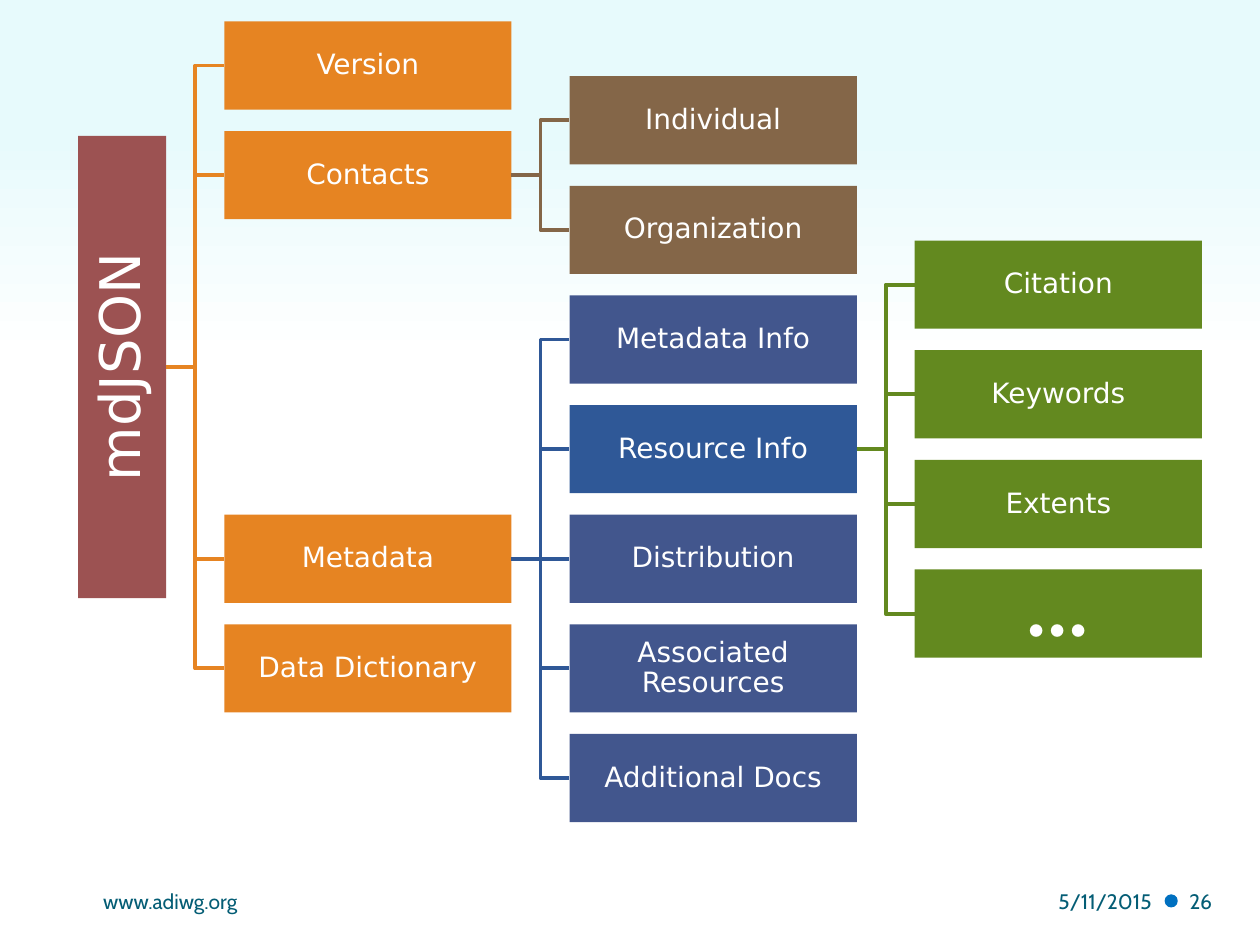
from collections import namedtuple

from lxml.etree import SubElement
from pptx import Presentation
from pptx.dml.color import RGBColor
from pptx.enum.shapes import MSO_CONNECTOR, MSO_SHAPE
from pptx.enum.text import MSO_ANCHOR, PP_ALIGN
from pptx.oxml.ns import qn
from pptx.util import Inches, Pt

Box = namedtuple("Box", "left top width height")
Node = namedtuple("Node", "label column row color")

# Grid of the tree: columns and rows repeat at an equal step
SLIDE_WIDTH, SLIDE_HEIGHT = 10, 7.5
GRID_LEFT, GRID_TOP = 1.78, 0.17
COLUMN_STEP, ROW_STEP = 2.74, 0.87
BOX_WIDTH, BOX_HEIGHT = 2.28, 0.7
GAP = COLUMN_STEP - BOX_WIDTH
ROOT_LENGTH = 3.67

ORANGE, BROWN, GREEN = "E68422", "846648", "63891F"
INDIGO, BLUE, RED = "42568D", "2F5897", "9C5252"
WHITE, TEAL, DOT_BLUE = "FFFFFF", "045D75", "0070C0"

NODE_FONT = {"name": "DejaVu Sans", "size": Pt(16)}
ROOT_FONT = {"name": "DejaVu Sans", "size": Pt(32)}
MORE_FONT = {"name": "League Spartan", "size": Pt(40), "bold": True}
FOOTER_FONT = {"name": "Cabin", "size": Pt(12)}

NODES = [
    Node("Version", 0, 0, ORANGE),
    Node("Contacts", 0, 1, ORANGE),
    Node("Metadata", 0, 4.5, ORANGE),
    Node("Data Dictionary", 0, 5.5, ORANGE),
    Node("Individual", 1, 0.5, BROWN),
    Node("Organization", 1, 1.5, BROWN),
    Node("Metadata Info", 1, 2.5, INDIGO),
    Node("Resource Info", 1, 3.5, BLUE),
    Node("Distribution", 1, 4.5, INDIGO),
    Node("Associated Resources", 1, 5.5, INDIGO),
    Node("Additional Docs", 1, 6.5, INDIGO),
    Node("Citation", 2, 2, GREEN),
    Node("Keywords", 2, 3, GREEN),
    Node("Extents", 2, 4, GREEN),
    Node("...", 2, 5, GREEN),
]

# Parent: colour of its branches and its children
BRANCHES = {
    "mdJSON": (ORANGE, ["Version", "Contacts", "Metadata", "Data Dictionary"]),
    "Contacts": (BROWN, ["Individual", "Organization"]),
    "Metadata": (BLUE, ["Metadata Info", "Resource Info", "Distribution",
                        "Associated Resources", "Additional Docs"]),
    "Resource Info": (GREEN, ["Citation", "Keywords", "Extents", "..."]),
}


def rgb(color):
    return RGBColor.from_string(color)


def inches(values):
    return [Inches(value) for value in values]


def middle(box):
    return box.top + box.height / 2


def node_box(node):
    return Box(GRID_LEFT + node.column * COLUMN_STEP,
               GRID_TOP + node.row * ROW_STEP, BOX_WIDTH, BOX_HEIGHT)


def write_text(shape, text, font, color, alignment, margin=None, spacing=None):
    frame = shape.text_frame
    settings = {"word_wrap": True, "vertical_anchor": MSO_ANCHOR.MIDDLE}
    if margin is not None:
        for side in ("left", "top", "right", "bottom"):
            settings[f"margin_{side}"] = Inches(margin)
    for name, value in settings.items():
        setattr(frame, name, value)
    paragraph = frame.paragraphs[0]
    paragraph.alignment = alignment
    paragraph.line_spacing = spacing
    run = paragraph.add_run()
    run.text = text
    for name, value in font.items():
        setattr(run.font, name, value)
    run.font.color.rgb = rgb(color)


def add_filled(slide, kind, box, color):
    shape = slide.shapes.add_shape(kind, *inches(box))
    shape.shadow.inherit = False
    shape.fill.solid()
    shape.fill.fore_color.rgb = rgb(color)
    shape.line.fill.background()
    return shape


def add_node(slide, box, text, color, font, margin):
    shape = add_filled(slide, MSO_SHAPE.RECTANGLE, box, color)
    write_text(shape, text, font, WHITE, PP_ALIGN.CENTER, margin, 0.9)
    return shape


def add_branch(slide, parent, child, parent_box, child_box, color):
    start_x, start_y = parent_box.left + parent_box.width, middle(parent_box)
    end_x, end_y = child_box.left, middle(child_box)
    if start_y == end_y:
        branch = slide.shapes.add_connector(
            MSO_CONNECTOR.STRAIGHT, *inches((start_x, start_y, end_x, end_y)))
        branch.begin_connect(parent, 3)
        branch.end_connect(child, 1)
        SubElement(branch.element.spPr, qn("a:effectLst"))
    else:
        turn_x = (start_x + end_x) / 2
        builder = slide.shapes.build_freeform(
            Inches(start_x), Inches(start_y), scale=1.0)
        corners = [(turn_x, start_y), (turn_x, end_y), (end_x, end_y)]
        builder.add_line_segments([inches(corner) for corner in corners],
                                  close=False)
        branch = builder.convert_to_shape()
        branch.shadow.inherit = False
        branch.fill.background()
    branch.line.color.rgb = rgb(color)
    branch.line.width = Pt(2.25)


def add_tree(slide, root_box):
    # Root: a wide rectangle turned to stand upright in its box
    turned_box = Box(root_box.left + (root_box.width - root_box.height) / 2,
                     root_box.top + (root_box.height - root_box.width) / 2,
                     root_box.height, root_box.width)
    root = add_node(slide, turned_box, "mdJSON", RED, ROOT_FONT, 0.02)
    root.rotation = 270
    shapes, boxes = {"mdJSON": root}, {"mdJSON": root_box}

    # Boxes on the grid
    for node in NODES:
        font, margin = (MORE_FONT, 0.03) if node.label == "..." else (NODE_FONT, 0.01)
        boxes[node.label] = node_box(node)
        shapes[node.label] = add_node(slide, boxes[node.label], node.label,
                                      node.color, font, margin)

    # Branches from each parent to its children
    for parent, (color, children) in BRANCHES.items():
        for child in children:
            add_branch(slide, shapes[parent], shapes[child],
                       boxes[parent], boxes[child], color)


def add_footer(slide, box):
    # Dot between date and slide number
    dot_size = 0.09
    dot_box = Box(9.25, middle(box) - dot_size / 2, dot_size, dot_size)
    dot = add_filled(slide, MSO_SHAPE.OVAL, dot_box, DOT_BLUE)
    dot.line.color.rgb = rgb(DOT_BLUE)
    dot.line.width = Pt(1)

    # Address, date and number
    for text, left, width, alignment in (
            ("www.adiwg.org", box.left, 3.11, PP_ALIGN.LEFT),
            ("5/11/2015", 6.96, 2.28, PP_ALIGN.RIGHT),
            ("26", 9.34, 0.61, PP_ALIGN.LEFT)):
        label = slide.shapes.add_textbox(*inches((left, box.top, width, box.height)))
        write_text(label, text, FOOTER_FONT, TEAL, alignment)


def add_background(slide):
    fill = slide.background.fill
    fill.gradient()
    fill.gradient_angle = 270
    for stop, (position, color) in zip(fill.gradient_stops,
                                       ((0.14, "E7FAFC"), (0.38, WHITE))):
        stop.position = position
        stop.color.rgb = rgb(color)


def main():
    presentation = Presentation()
    presentation.slide_width = Inches(SLIDE_WIDTH)
    presentation.slide_height = Inches(SLIDE_HEIGHT)
    slide = presentation.slides.add_slide(presentation.slide_layouts[6])
    add_background(slide)
    # The root is centred on its first and last child
    root_middle = GRID_TOP + 2.75 * ROW_STEP + BOX_HEIGHT / 2
    add_tree(slide, Box(GRID_LEFT - GAP - BOX_HEIGHT,
                        root_middle - ROOT_LENGTH / 2, BOX_HEIGHT, ROOT_LENGTH))
    add_footer(slide, Box(0.72, 6.95, 9.23, 0.4))
    presentation.save("out.pptx")


if __name__ == "__main__":
    main()
